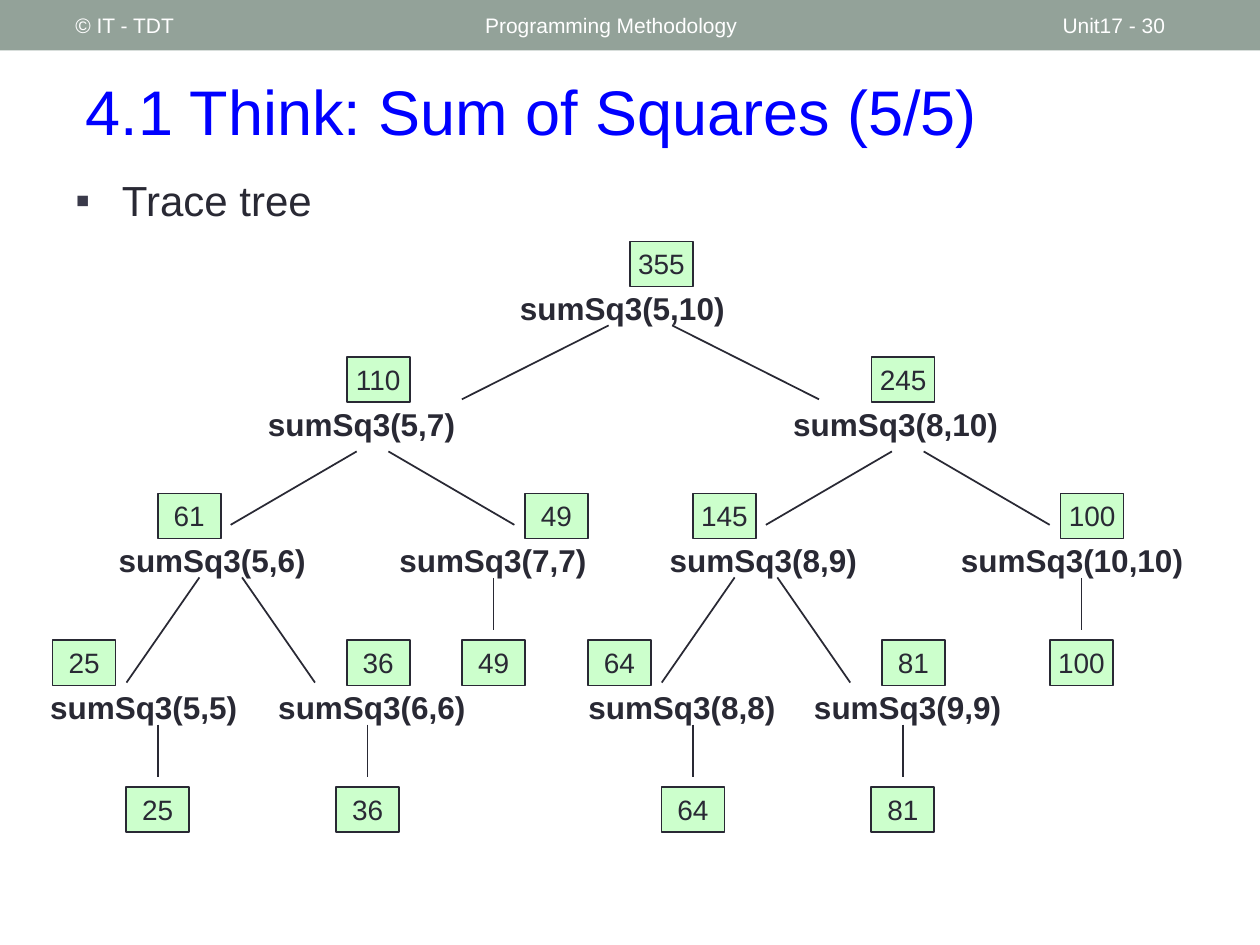
from lxml import etree
from pptx import Presentation
from pptx.dml.color import RGBColor
from pptx.enum.shapes import MSO_CONNECTOR, MSO_SHAPE
from pptx.enum.text import MSO_ANCHOR as Anchor, PP_ALIGN as Align
from pptx.oxml.ns import qn
from pptx.util import Cm, Pt

WHITE = RGBColor(0xFF, 0xFF, 0xFF)
SAGE = RGBColor(0x93, 0xA2, 0x99)
BLUE = RGBColor(0x00, 0x00, 0xFF)
INK = RGBColor(0x29, 0x29, 0x34)
MINT = RGBColor(0xCC, 0xFF, 0xCC)

presentation = Presentation()
presentation.slide_width, presentation.slide_height = Cm(25.4), Cm(19.05)
slide = presentation.slides.add_slide(presentation.slide_layouts[6])


def add_text(text, left, top, width, height, size=18, color=INK, bold=False,
             anchor=Anchor.TOP, align=Align.LEFT, inset=(0.11, 0.11), fill=None):
    """Add text in cm: a plain text box, or an outlined rectangle if fill is given."""
    place = Cm(left), Cm(top), Cm(width), Cm(height)
    if fill is None:
        shape = slide.shapes.add_textbox(*place)
    else:
        shape = slide.shapes.add_shape(MSO_SHAPE.RECTANGLE, *place)
        shape.shadow.inherit = False
        shape.fill.solid()
        shape.fill.fore_color.rgb = fill
        shape.line.color.rgb = INK
        shape.line.width = Pt(1)
    frame = shape.text_frame
    frame.word_wrap = True
    frame.vertical_anchor = anchor
    frame.margin_left = frame.margin_right = Cm(inset[0])
    frame.margin_top = frame.margin_bottom = Cm(inset[1])
    paragraph = frame.paragraphs[0]
    paragraph.alignment = align
    run = paragraph.add_run()
    run.text = text
    run.font.name, run.font.size, run.font.bold = "Arial", Pt(size), bold
    run.font.color.rgb = color
    return paragraph


def add_line(x1, y1, x2, y2):
    line = slide.shapes.add_connector(MSO_CONNECTOR.STRAIGHT, Cm(x1), Cm(y1), Cm(x2), Cm(y2))
    line.line.color.rgb = INK
    line.line.width = Pt(1)
    etree.SubElement(line._element.spPr, qn("a:effectLst"))


# Header band, title and bullet
band = slide.shapes.add_shape(MSO_SHAPE.RECTANGLE, 0, 0, presentation.slide_width, Cm(1.02))
band.shadow.inherit = False
band.fill.solid()
band.fill.fore_color.rgb = SAGE
band.line.fill.background()

WIDE_INSET = (0.25, 0.13)
for text, left, width in [("© IT - TDT", 1.27, 8.05),
                          ("Programming Methodology", 9.53, 11.43),
                          ("Unit17 - 30", 21.17, 2.96)]:
    add_text(text, left, 0.06, width, 0.91, size=12, color=WHITE,
             anchor=Anchor.MIDDLE, inset=WIDE_INSET)

add_text("4.1 Think: Sum of Squares (5/5)", 1.48, 1.06, 23.28, 2.33, size=36,
         color=BLUE, anchor=Anchor.MIDDLE, inset=WIDE_INSET)

bullet = add_text("Trace tree", 1.27, 3.39, 6.99, 1.5, size=24, inset=WIDE_INSET)
properties = bullet._p.get_or_add_pPr()
properties.set("marL", str(Cm(0.94)))
properties.set("indent", str(-Cm(0.94)))
bullet_color = etree.SubElement(properties, qn("a:buClr"))
etree.SubElement(bullet_color, qn("a:srgbClr"), val="3A3A4A")
etree.SubElement(properties, qn("a:buFont"), typeface="Arial")
etree.SubElement(properties, qn("a:buChar"), char="▪")

# Trace tree
BOX_WIDTH, BOX_HEIGHT = 1.27, 0.91
BOX_RISE = 0.85
LINE_DROP, LEAF_LINE, LEAF_DROP = 0.85, 1.06, 2.11
BOX_FORMAT = {"size": 16, "align": Align.CENTER, "fill": MINT}

# Each level: top of the calls, then (call, left, width, result, result left)
levels = [
    (5.72, [("5,10", 10.37, 6.14, 355, 12.7)]),
    (8.05, [("5,7", 5.29, 5.72, 110, 6.99), ("8,10", 15.88, 5.72, 245, 17.57)]),
    (10.8, [("5,6", 2.28, 4.06, 61, 3.18), ("7,7", 7.94, 4.13, 49, 10.58),
            ("8,9", 13.39, 4.19, 145, 13.97), ("10,10", 19.26, 4.83, 100, 21.38)]),
    (13.76, [("5,5", 0.9, 4.17, 25, 1.06), ("6,6", 5.5, 4.22, 36, 6.99),
             ("8,8", 11.75, 4.13, 64, 11.85), ("9,9", 16.3, 4.19, 81, 17.78)]),
]
for top, calls in levels:
    for arguments, left, width, result, result_left in calls:
        add_text(f"sumSq3({arguments})", left, top, width, 0.97, bold=True)
        add_text(str(result), result_left, top - BOX_RISE, BOX_WIDTH, BOX_HEIGHT, **BOX_FORMAT)

# Each pair of branches: top, bottom, half gap at top, half spread at bottom, centres
branches = [
    (6.56, 8.05, 0.64, 3.6, [12.91]),
    (9.1, 10.58, 0.32, 2.86, [7.51, 18.3]),
    (11.64, 13.76, 0.43, 1.9, [4.45, 15.24]),
]
for top, bottom, gap, spread, centers in branches:
    for center in centers:
        for side in (-1, 1):
            add_line(center + side * gap, top, center + side * spread, bottom)

# Base cases: top of the calling row, then (value, centre)
base_cases = [
    (10.8, [(49, 9.95), (100, 21.8)]),
    (13.76, [(25, 3.18), (36, 7.41), (64, 13.97), (81, 18.2)]),
]
for top, leaves in base_cases:
    for value, center in leaves:
        add_line(center, top + LINE_DROP, center, top + LINE_DROP + LEAF_LINE)
        add_text(str(value), center - BOX_WIDTH / 2, top + LEAF_DROP,
                 BOX_WIDTH, BOX_HEIGHT, **BOX_FORMAT)

presentation.save("out.pptx")
